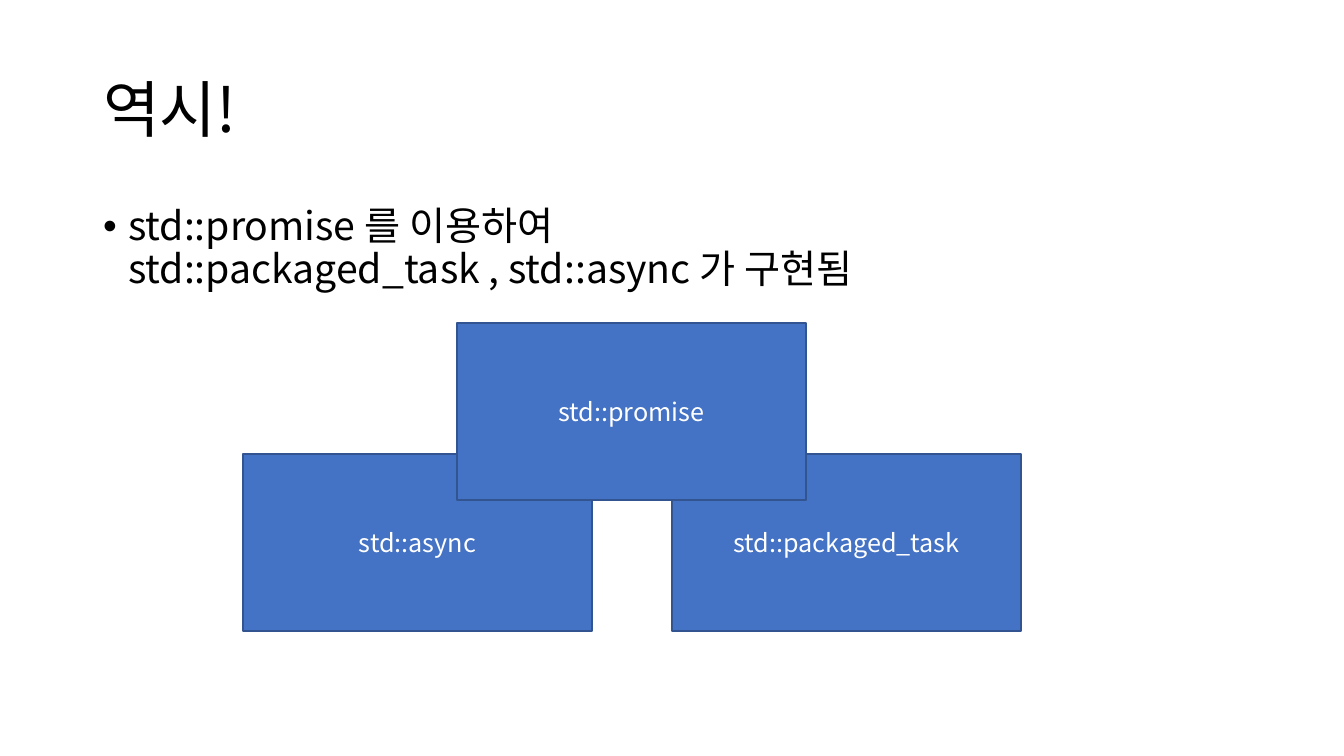
from lxml.etree import SubElement
from pptx import Presentation
from pptx.dml.color import RGBColor
from pptx.enum.shapes import MSO_SHAPE
from pptx.enum.text import MSO_ANCHOR, MSO_AUTO_SIZE, PP_ALIGN
from pptx.oxml.ns import qn
from pptx.util import Pt

# Content
TITLE = "역시!"
BODY = "std::promise 를 이용하여\vstd::packaged_task , std::async 가 구현됨"
# label, column in half steps, top; back to front
BOXES = [
    ("std::async", 0, 454),
    ("std::packaged_task", 2, 454),
    ("std::promise", 1, 323),
]

# Style and layout in px
FONT = "Noto Sans CJK KR"
BLACK = RGBColor(0x00, 0x00, 0x00)
WHITE = RGBColor(0xFF, 0xFF, 0xFF)
BLUE = RGBColor(0x44, 0x72, 0xC4)
EDGE = RGBColor(0x32, 0x54, 0x91)
WIDE, HIGH = 1344, 756
LEFT, SPAN = 93, 1159
BOX_X, STEP, BOX_W, BOX_H = 243, 429, 349, 177


def px(n):
    return round(n * 914400 / 100.8)


def place(shape, x, y, w, h):
    shape.left, shape.top = px(x), px(y)
    shape.width, shape.height = px(w), px(h)


def write(shape, text, size, color, align, anchor):
    frame = shape.text_frame
    frame.text = text
    frame.word_wrap = True
    frame.auto_size = MSO_AUTO_SIZE.NONE
    frame.vertical_anchor = anchor
    para = frame.paragraphs[0]
    para.alignment = align
    for run in para.runs:
        run.font.name = FONT
        SubElement(run.font._element, qn("a:ea"), typeface=FONT)
    para.font.size = Pt(size)
    para.font.color.rgb = color
    return para


deck = Presentation()
deck.slide_width, deck.slide_height = px(WIDE), px(HIGH)
slide = deck.slides.add_slide(deck.slide_layouts[1])
title, body = slide.placeholders

# Title
place(title, LEFT, 40, SPAN, 146)
head = write(title, TITLE, 44, BLACK, PP_ALIGN.LEFT, MSO_ANCHOR.MIDDLE)
head.line_spacing = 0.9

# Bullet
place(body, LEFT, 202, SPAN, 480)
item = write(body, BODY, 28, BLACK, PP_ALIGN.LEFT, MSO_ANCHOR.TOP)
item.line_spacing = 0.9
item.space_before = Pt(0)
props = item._p.get_or_add_pPr()
props.set("marL", "228600")
props.set("indent", "-228600")

# Overlapping boxes
for label, col, top in BOXES:
    box = slide.shapes.add_shape(MSO_SHAPE.RECTANGLE, 0, 0, 0, 0)
    place(box, BOX_X + col * STEP // 2, top, BOX_W, BOX_H)
    box.shadow.inherit = False
    box.fill.solid()
    box.fill.fore_color.rgb = BLUE
    box.line.color.rgb = EDGE
    box.line.width = Pt(1)
    write(box, label, 18, WHITE, PP_ALIGN.CENTER, MSO_ANCHOR.MIDDLE)

deck.save("out.pptx")
